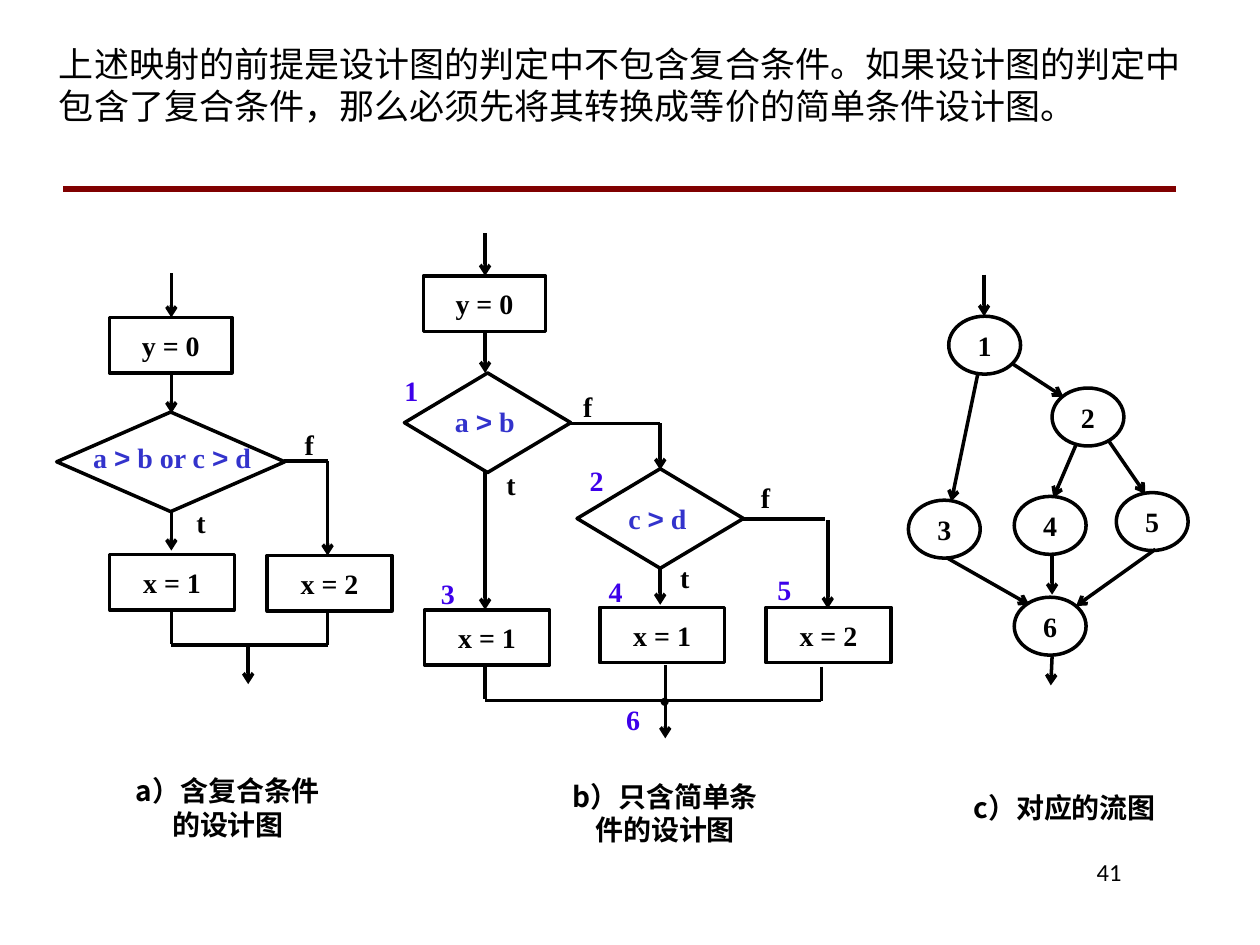
from dataclasses import dataclass
from typing import Optional

from lxml import etree
from pptx import Presentation
from pptx import util as u
from pptx.dml.color import RGBColor
from pptx.enum import shapes, text
from pptx.oxml.ns import qn

BLACK = RGBColor(0x00, 0x00, 0x00)
WHITE = RGBColor(0xFF, 0xFF, 0xFF)
MAROON = RGBColor(0x80, 0x00, 0x00)
CONDITION_BLUE = RGBColor(0x33, 0x33, 0xCC)
NUMBER_BLUE = RGBColor(0x3D, 0x00, 0xEA)

SERIF = "Times New Roman"
SANS = "Arial"
HAN = "Noto Sans CJK SC"
RECT = shapes.MSO_SHAPE.RECTANGLE
DIAMOND = shapes.MSO_SHAPE.DIAMOND
OVAL = shapes.MSO_SHAPE.OVAL
FRAME_FORMAT = {
    "word_wrap": True,
    "margin_left": u.Inches(0.1),
    "margin_right": u.Inches(0.1),
    "margin_top": u.Inches(0.05),
    "margin_bottom": u.Inches(0.05),
}


@dataclass
class Label:
    words: str
    left: float
    top: float
    width: float = 0.41
    height: float = 0.41
    color: RGBColor = BLACK
    font: str = SERIF
    size: float = 16
    bold: bool = True
    align: text.PP_ALIGN = text.PP_ALIGN.CENTER
    anchor: text.MSO_ANCHOR = text.MSO_ANCHOR.MIDDLE


@dataclass
class Node:
    kind: shapes.MSO_SHAPE
    words: str
    left: float
    top: float
    width: float
    height: float
    fill: Optional[RGBColor] = None


@dataclass
class Edge:
    x1: float
    y1: float
    x2: float
    y2: float
    arrow: bool = True
    color: RGBColor = BLACK
    weight: float = 2


def set_all(target, values: dict) -> None:
    for name, value in values.items():
        setattr(target, name, value)


def write(frame, label: Label) -> None:
    set_all(frame, {**FRAME_FORMAT, "vertical_anchor": label.anchor})
    for index, line in enumerate(label.words.split("\n")):
        paragraph = frame.add_paragraph() if index else frame.paragraphs[0]
        paragraph.alignment = label.align
        for piece in filter(None, line.replace(">", "|>|").split("|")):
            run = paragraph.add_run()
            run.text = piece
            face = SANS if piece == ">" else label.font
            set_all(run.font, {"name": face, "size": u.Pt(label.size), "bold": label.bold})
            run.font.color.rgb = label.color
            etree.SubElement(run.font._element, qn("a:ea"), typeface=HAN)


def draw_label(slide, label: Label) -> None:
    box = slide.shapes.add_textbox(
        *map(u.Inches, (label.left, label.top, label.width, label.height)))
    write(box.text_frame, label)


def draw_node(slide, node: Node) -> None:
    area = (node.left, node.top, node.width, node.height)
    block = slide.shapes.add_shape(node.kind, *map(u.Inches, area))
    block.shadow.inherit = False
    if node.fill is None:
        block.fill.background()
    else:
        block.fill.solid()
        block.fill.fore_color.rgb = node.fill
    block.line.color.rgb = BLACK
    block.line.width = u.Pt(2)
    if node.words:
        write(block.text_frame, Label(node.words, *area))


def draw_edge(slide, edge: Edge) -> None:
    link = slide.shapes.add_connector(
        shapes.MSO_CONNECTOR.STRAIGHT,
        *map(u.Inches, (edge.x1, edge.y1, edge.x2, edge.y2)))
    link.line.color.rgb = edge.color
    link.line.width = u.Pt(edge.weight)
    if edge.arrow:
        etree.SubElement(link.line._get_or_add_ln(), qn("a:tailEnd"), type="arrow")
    etree.SubElement(link._element.spPr, qn("a:effectLst"))


def step(words: str, left: float, top: float) -> Node:
    return Node(RECT, words, left, top, 0.99, 0.44)


def start(left: float, top: float) -> Node:
    return Node(RECT, "y = 0", left, top, 0.97, 0.44, WHITE)


def state(words: str, left: float, top: float) -> Node:
    return Node(OVAL, words, left, top, 0.57, 0.46, WHITE)


def number(words: str, left: float, top: float) -> Label:
    return Label(words, left, top, color=NUMBER_BLUE)


def condition(words: str, left: float, top: float, width: float = 0.81) -> Label:
    return Label(words, left, top, width, 0.42, CONDITION_BLUE)


def caption(words: str, left: float, top: float) -> Label:
    return Label(words, left, top, 1.8, 0.7, font=HAN)


def wire(x1: float, y1: float, x2: float, y2: float) -> Edge:
    return Edge(x1, y1, x2, y2, arrow=False)


HEADING = [
    Edge(0.5, 1.5, 9.33, 1.5, False, MAROON, 3),
    Label("上述映射的前提是设计图的判定中不包含复合条件。如果设计图的判定中\n"
          "包含了复合条件，那么必须先将其转换成等价的简单条件设计图。",
          0.37, 0.29, 9.34, 1.0, font=HAN, size=20, bold=False,
          align=text.PP_ALIGN.LEFT, anchor=text.MSO_ANCHOR.TOP),
    Label("41", 7.58, 6.75, 1.42, 0.5, font="Calibri", size=14, bold=False,
          align=text.PP_ALIGN.RIGHT, anchor=text.MSO_ANCHOR.TOP),
]
FLOW_GRAPH = [
    state("1", 7.53, 2.51), state("2", 8.35, 3.08), state("3", 7.21, 3.97),
    state("4", 8.05, 3.94), state("5", 8.86, 3.91), state("6", 8.05, 4.74),
    Edge(8.04, 2.89, 8.44, 3.15), Edge(7.76, 2.97, 7.55, 3.98),
    Edge(8.54, 3.53, 8.36, 3.95), Edge(8.8, 3.5, 9.09, 3.92),
    Edge(8.35, 4.4, 8.35, 4.72), Edge(7.52, 4.43, 8.17, 4.8),
    Edge(9.17, 4.36, 8.54, 4.81), Edge(7.81, 2.18, 7.81, 2.51),
    Edge(8.35, 5.21, 8.34, 5.44), caption("c）对应的流图", 7.55, 6.06),
]
COMPOUND_DESIGN = [
    caption("a）含复合条件的设计图", 0.91, 6.06),
    condition("a > b or c > d", 0.59, 3.42, 1.55),
    Node(DIAMOND, "", 0.45, 3.27, 1.81, 0.79),
    step("x = 1", 0.87, 4.4), step("x = 2", 2.12, 4.41), start(0.87, 2.52),
    Edge(1.36, 2.17, 1.36, 2.52), Edge(1.36, 2.97, 1.36, 3.28),
    Edge(1.36, 4.06, 1.36, 4.37), wire(2.25, 3.66, 2.6, 3.66),
    Edge(2.6, 3.66, 2.6, 4.41), wire(1.36, 4.84, 1.36, 5.11),
    wire(2.6, 4.85, 2.6, 5.12), wire(2.6, 5.12, 1.36, 5.12),
    Edge(1.97, 5.12, 1.97, 5.43),
    Label("t", 1.39, 3.94), Label("f", 2.25, 3.32),
]
SIMPLE_DESIGN = [
    caption("b）只含简单条件的设计图", 4.38, 6.1),
    Label("t", 3.85, 3.64), Label("t", 5.23, 4.38),
    Label("f", 4.46, 3.02), Label("f", 5.87, 3.74),
    start(3.36, 2.19), step("x = 1", 3.37, 4.84),
    step("x = 1", 4.76, 4.82), step("x = 2", 6.08, 4.82),
    Node(DIAMOND, "", 3.21, 2.96, 1.32, 0.79), condition("a > b ", 3.47, 3.13),
    Node(DIAMOND, "", 4.58, 3.72, 1.32, 0.79), condition("c > d ", 4.84, 3.9),
    Edge(3.85, 1.85, 3.85, 2.19), Edge(3.85, 2.64, 3.85, 2.96),
    Edge(3.85, 3.73, 3.85, 4.84), wire(4.52, 3.36, 5.24, 3.36),
    Edge(5.24, 3.36, 5.24, 3.73), wire(6.55, 4.12, 5.87, 4.12),
    Edge(6.57, 4.13, 6.57, 4.83), Edge(5.24, 4.5, 5.24, 4.8),
    wire(3.85, 5.28, 3.85, 5.55), wire(5.28, 5.28, 5.28, 5.55),
    wire(6.52, 5.29, 6.52, 5.56), wire(6.52, 5.56, 3.85, 5.56),
    Edge(5.28, 5.56, 5.28, 5.86), Label("•", 5.05, 5.35, 0.45, font=SANS),
    number("1", 3.06, 2.89), number("2", 4.53, 3.61), number("3", 3.35, 4.5),
    number("4", 4.68, 4.49), number("5", 6.02, 4.47), number("6", 4.82, 5.5),
]
DRAWERS = {Label: draw_label, Node: draw_node, Edge: draw_edge}


def main() -> None:
    deck = Presentation()
    set_all(deck, {"slide_width": u.Inches(10), "slide_height": u.Inches(7.5)})
    slide = deck.slides.add_slide(deck.slide_layouts[6])
    for part in HEADING + FLOW_GRAPH + COMPOUND_DESIGN + SIMPLE_DESIGN:
        DRAWERS[type(part)](slide, part)
    deck.save("out.pptx")


if __name__ == "__main__":
    main()
